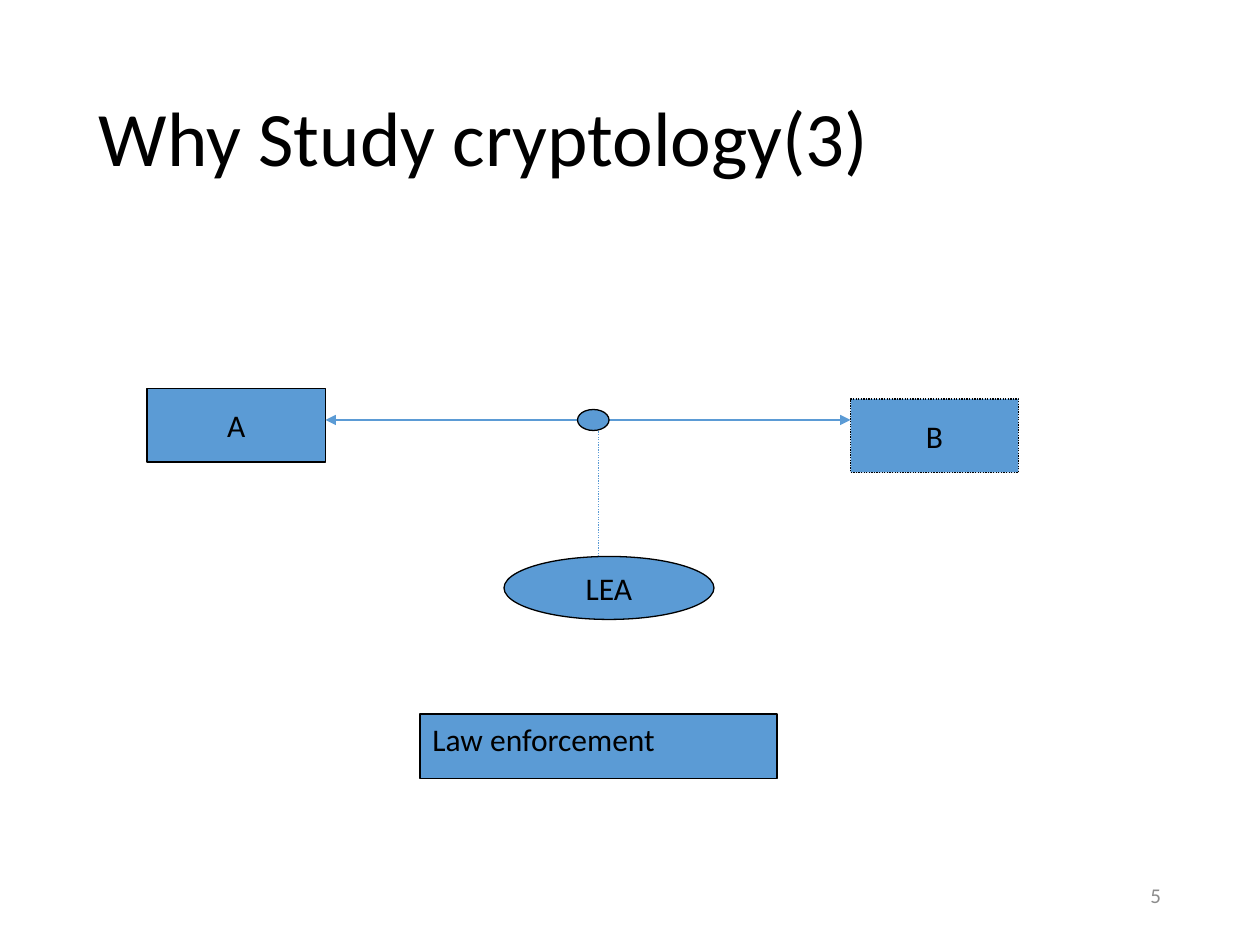
from pptx import Presentation
from pptx.dml.color import RGBColor
from pptx.enum.dml import MSO_LINE
from pptx.enum.shapes import MSO_CONNECTOR, MSO_SHAPE
from pptx.enum.text import MSO_ANCHOR, PP_ALIGN
from pptx.oxml.ns import qn
from pptx.util import Inches, Pt
from lxml import etree

RECT, OVAL = MSO_SHAPE.RECTANGLE, MSO_SHAPE.OVAL
STRAIGHT = MSO_CONNECTOR.STRAIGHT
DOTTED = MSO_LINE.ROUND_DOT
LEFT, CENTER, RIGHT = PP_ALIGN.LEFT, PP_ALIGN.CENTER, PP_ALIGN.RIGHT
TOP, MIDDLE = MSO_ANCHOR.TOP, MSO_ANCHOR.MIDDLE

COLORS = {"ink": "000000", "blue": "5B9BD5", "grey": "8C8C8C"}
FONT = "Calibri"
COLS, ROWS = 120, 90


def color(name):
    return RGBColor.from_string(COLORS[name])


def put_text(shape, text, size=18, ink="ink", align=CENTER, anchor=MIDDLE,
             wrap=True, spacing=None):
    tf = shape.text_frame
    tf.word_wrap = wrap
    tf.vertical_anchor = anchor
    p = tf.paragraphs[0]
    p.alignment = align
    p.line_spacing = spacing
    r = p.add_run()
    r.text = text
    r.font.name = FONT
    r.font.size = Pt(size)
    r.font.color.rgb = color(ink)


class Deck:
    """Places elements on the current slide by grid columns and rows."""

    def __init__(self, width, height):
        self.prs = Presentation()
        self.prs.slide_width = Inches(width)
        self.prs.slide_height = Inches(height)
        self.s = self.prs.slides.add_slide(self.prs.slide_layouts[6])

    def emu(self, *grid):
        """Turn alternating columns and rows into lengths."""
        units = self.prs.slide_width / COLS, self.prs.slide_height / ROWS
        return [round(n * units[i % 2]) for i, n in enumerate(grid)]

    def style_line(self, line, ink, width, dash):
        line.color.rgb = color(ink)
        line.width = Pt(width)
        if dash:
            line.dash_style = dash

    def text(self, box, text, **fmt):
        put_text(self.s.shapes.add_textbox(*self.emu(*box)), text, **fmt)

    def shape(self, kind, box, text="", width=0.75, dash=None, **fmt):
        sp = self.s.shapes.add_shape(kind, *self.emu(*box))
        sp.shadow.inherit = False
        sp.fill.solid()
        sp.fill.fore_color.rgb = color("blue")
        self.style_line(sp.line, "ink", width, dash)
        if text:
            put_text(sp, text, **fmt)

    def line(self, ends, dash=None, arrows=False):
        cn = self.s.shapes.add_connector(STRAIGHT, *self.emu(*ends))
        self.style_line(cn.line, "blue", 0.75, dash)
        if arrows:
            ln = cn.line._get_or_add_ln()
            for tag in ("a:headEnd", "a:tailEnd"):
                etree.SubElement(ln, qn(tag), type="triangle")
        etree.SubElement(cn._element.spPr, qn("a:effectLst"))


def main():
    deck = Deck(10, 7.5)
    deck.text((84.75, 82.9, 27, 4.8), "5", size=12, ink="grey", align=RIGHT)
    deck.text((8.25, 4.8, 103.5, 17.4), "Why Study cryptology(3)", size=44,
              align=LEFT, spacing=0.9)

    deck.shape(RECT, (14, 37, 17, 7), "A", wrap=False)
    deck.shape(RECT, (81, 38, 16, 7), "B", dash=DOTTED, wrap=False)
    deck.line((31, 40, 81, 40), arrows=True)
    deck.shape(OVAL, (55, 39, 3, 2))
    deck.shape(OVAL, (48, 53, 20, 6), "LEA", wrap=False)
    deck.line((57, 53, 57, 41), dash=DOTTED)
    deck.shape(RECT, (40, 68, 34, 6.15), "Law enforcement", width=1,
               align=LEFT, anchor=TOP)
    deck.prs.save("out.pptx")


if __name__ == "__main__":
    main()
